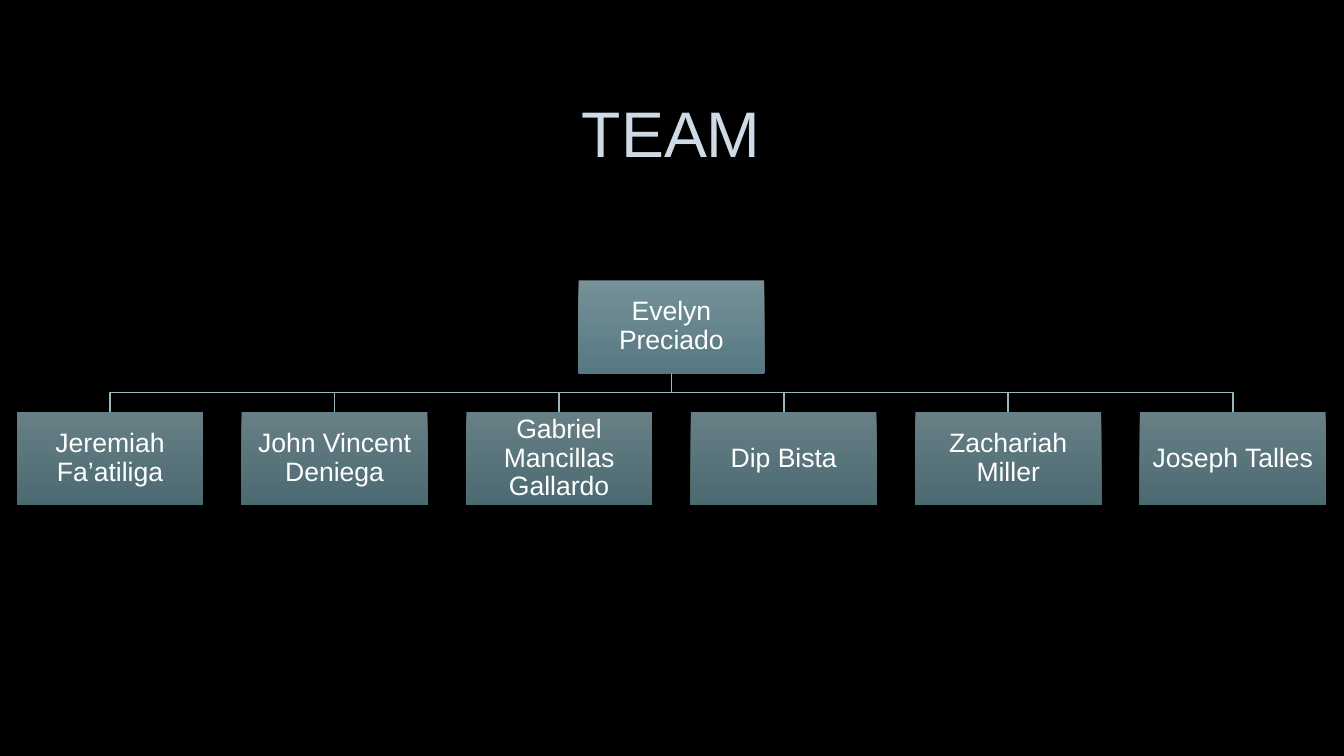
from lxml.etree import SubElement
from pptx import Presentation
from pptx.dml.color import RGBColor
from pptx.enum.shapes import MSO_SHAPE
from pptx.enum.text import MSO_ANCHOR, PP_ALIGN
from pptx.oxml.ns import qn
from pptx.util import Pt

BLACK = RGBColor(0x00, 0x00, 0x00)
WHITE = RGBColor(0xFF, 0xFF, 0xFF)
TITLE_BLUE = RGBColor(0xCE, 0xDB, 0xE6)
LINE_TEAL = RGBColor(0x97, 0xB7, 0xBF)
CARD_TOP = RGBColor(0x94, 0xB6, 0xBF)
CARD_BOTTOM = RGBColor(0x6C, 0x97, 0xA2)

CARD_WIDTH, CARD_HEIGHT = 132.6, 66.3
CARD_PITCH = 160.4
CENTER = 479.6
LEAD_TOP = 200.2
LEVEL_GAP = 27.9
MEMBERS_TOP = LEAD_TOP + CARD_HEIGHT + LEVEL_GAP

LEAD = "Evelyn Preciado"
MEMBERS = [
    "Jeremiah Fa’atiliga",
    "John Vincent Deniega",
    "Gabriel Mancillas Gallardo",
    "Dip Bista",
    "Zachariah Miller",
    "Joseph Talles",
]


class TeamSlide:
    font_name = "Arial"

    def __init__(self, presentation):
        self.slide = presentation.slides.add_slide(presentation.slide_layouts[5])
        background = self.slide.background.fill
        background.solid()
        background.fore_color.rgb = BLACK

    def set_text(self, shape, text, size, color):
        frame = shape.text_frame
        frame.word_wrap = True
        frame.vertical_anchor = MSO_ANCHOR.MIDDLE
        frame.text = text
        paragraph = frame.paragraphs[0]
        paragraph.alignment = PP_ALIGN.CENTER
        paragraph.line_spacing = 0.9
        paragraph.font.name = self.font_name
        paragraph.font.size = Pt(size)
        paragraph.font.color.rgb = color
        return frame

    def title(self, text, left, top, width, height):
        shape = self.slide.shapes.title
        shape.left, shape.top = Pt(left), Pt(top)
        shape.width, shape.height = Pt(width), Pt(height)
        self.set_text(shape, text, 46, TITLE_BLUE)

    def branch(self, start_x, start_y, end_x, end_y):
        middle_y = (start_y + end_y) / 2
        builder = self.slide.shapes.build_freeform(Pt(start_x), Pt(start_y))
        points = [(start_x, middle_y), (end_x, middle_y), (end_x, end_y)]
        builder.add_line_segments([(Pt(x), Pt(y)) for x, y in points], close=False)
        shape = builder.convert_to_shape()
        shape.shadow.inherit = False
        shape.fill.background()
        shape.line.color.rgb = LINE_TEAL
        shape.line.width = Pt(1.25)

    def card(self, name, center, top, opacity):
        shape = self.slide.shapes.add_shape(
            MSO_SHAPE.RECTANGLE, Pt(center - CARD_WIDTH / 2), Pt(top),
            Pt(CARD_WIDTH), Pt(CARD_HEIGHT))
        shape.shadow.inherit = False
        shape.line.fill.background()
        shape.fill.gradient()
        shape.fill.gradient_angle = 270
        for stop, color in zip(shape.fill.gradient_stops, (CARD_TOP, CARD_BOTTOM)):
            stop.color.rgb = color
        for color_element in shape.element.spPr.iter(qn("a:srgbClr")):
            SubElement(color_element, qn("a:alpha"), val=str(opacity * 1000))
        frame = self.set_text(shape, name, 19, WHITE)
        frame.margin_left = frame.margin_right = Pt(1)
        frame.margin_top = frame.margin_bottom = Pt(1)


def main():
    presentation = Presentation()
    presentation.slide_width, presentation.slide_height = Pt(960), Pt(540)
    team = TeamSlide(presentation)
    team.title("TEAM", 72, 48.2, 815, 99.4)

    first_center = CENTER - CARD_PITCH * (len(MEMBERS) - 1) / 2
    centers = [first_center + CARD_PITCH * index for index in range(len(MEMBERS))]
    for center in centers:
        team.branch(CENTER, LEAD_TOP + CARD_HEIGHT, center, MEMBERS_TOP)
    team.card(LEAD, CENTER, LEAD_TOP, 80)
    for name, center in zip(MEMBERS, centers):
        team.card(name, center, MEMBERS_TOP, 70)

    presentation.save("out.pptx")


if __name__ == "__main__":
    main()
